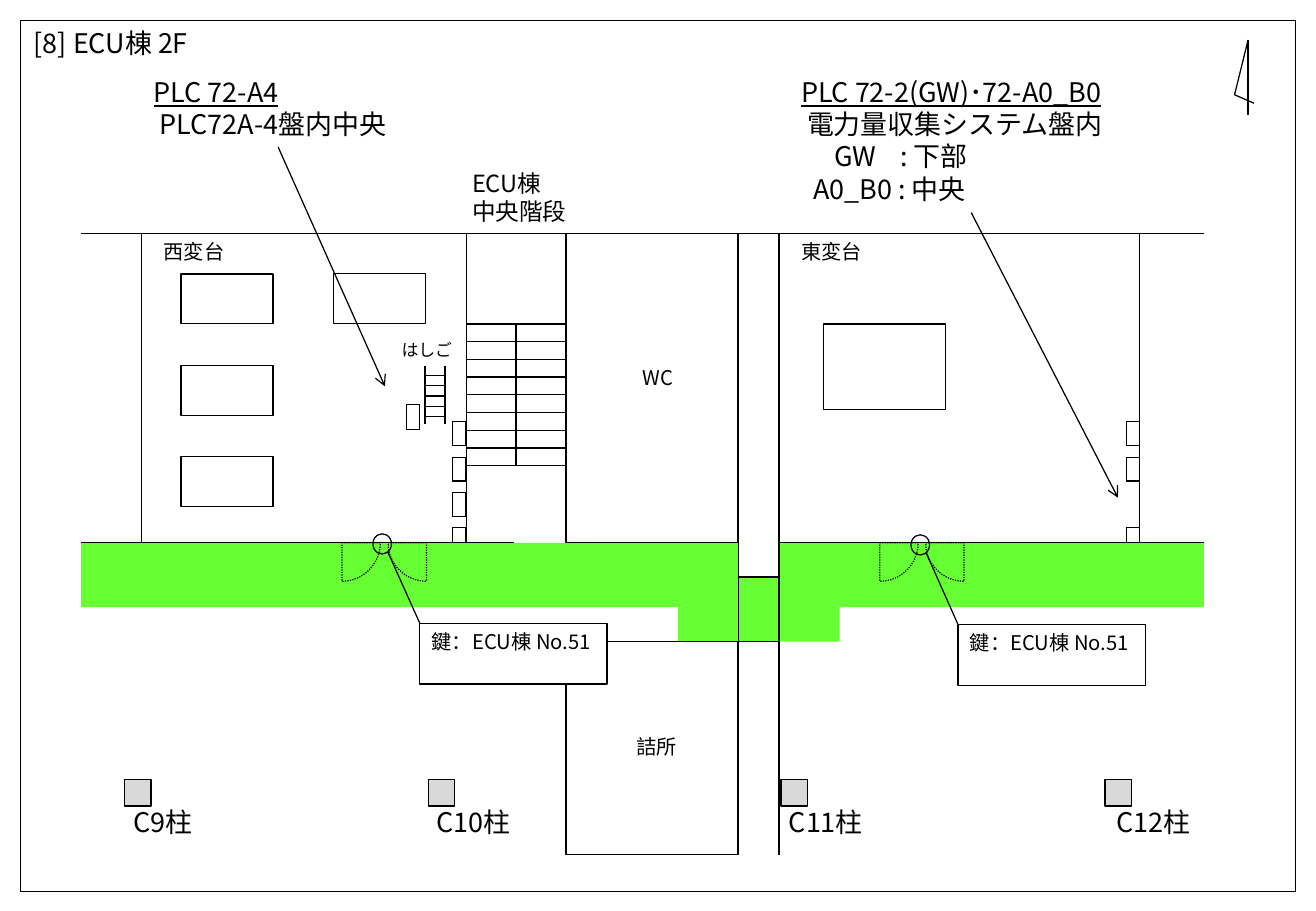
from math import cos, pi, sin

from pptx import Presentation
from pptx.dml.color import RGBColor
from pptx.enum.dml import MSO_LINE
from pptx.enum.shapes import MSO_CONNECTOR as CONN, MSO_SHAPE as SHAPE
from pptx.enum.text import MSO_ANCHOR as ANCHOR, PP_ALIGN as ALIGN
from pptx.oxml.ns import qn
from pptx.util import Pt
from lxml.etree import SubElement

FONT = "Noto Sans CJK JP"
BLACK, WHITE, GREEN, GREY = "000000", "FFFFFF", "66FF33", "D9D9D9"


def paint(s, fill=None, line=BLACK):
    """Set the fill, the outline and no shadow on a shape."""
    s.shadow.inherit = False
    for part, colour in ((s.fill, fill), (s.line.fill, line)):
        if colour:
            part.solid()
            part.fore_color.rgb = RGBColor.from_string(colour)
        else:
            part.background()
    if line:
        s.line.width = Pt(0.75)


def write(s, size, lines, align=ALIGN.LEFT):
    """Fill a shape with lines of (text, indent, underline, tab stops)."""
    tf = s.text_frame
    tf.word_wrap = True
    tf.vertical_anchor = ANCHOR.TOP
    for i, (text, indent, underline, tabs) in enumerate(lines):
        p = tf.add_paragraph() if i else tf.paragraphs[0]
        p.alignment = align
        p.line_spacing = Pt(size * 1.2)
        pPr = p._p.get_or_add_pPr()
        if indent:
            pPr.set("marL", str(Pt(indent)))
        if tabs:
            tab_list = SubElement(pPr, qn("a:tabLst"))
            for stop in tabs:
                SubElement(tab_list, qn("a:tab"), pos=str(Pt(stop)), algn="l")
        r = p.add_run()
        r.text = text
        look = {"name": FONT, "size": Pt(size), "underline": underline}
        for name, value in look.items():
            setattr(r.font, name, value)
        r.font.color.rgb = RGBColor.from_string(BLACK)
        SubElement(r._r.get_or_add_rPr(), qn("a:ea"), typeface=FONT)


prs = Presentation()
prs.slide_width, prs.slide_height = Pt(780.48), Pt(540)
shapes = prs.slides.add_slide(prs.slide_layouts[6]).shapes

# Main wall positions
LEFT, WEST, STAIR, WC, HALL, EAST, RIGHT = 48, 84, 276.5, 335.7, 437.8, 462, 714
NORTH, SOUTH, CORRIDOR, STATION, BOTTOM = 138.3, 321.8, 360, 380.3, 506.6
EAST_END = 676

# Green corridor
for x, y, w, h in [
    (EAST, SOUTH, RIGHT - EAST, CORRIDOR - SOUTH),
    (402, 342, 96, STATION - 342),
    (LEFT, SOUTH, 390, CORRIDOR - SOUTH),
]:
    s = shapes.add_shape(SHAPE.RECTANGLE, Pt(x), Pt(y), Pt(w), Pt(h))
    paint(s, GREEN, None)

# Frame, rooms and equipment
boxes = [
    (12.2, 12.2, 756, 516.2),
    (EAST, NORTH, EAST_END - EAST, SOUTH - NORTH),
    (WC, NORTH, HALL - WC, SOUTH - NORTH),
    (WEST, NORTH, STAIR - WEST, SOUTH - NORTH),
    (WC, STATION, HALL - WC, BOTTOM - STATION),
    (488.2, 192, 72.7, 50.6),
    (198, 162.3, 54.5, 29.5),
    (241, 240, 8, 14.5),
]
boxes += [(107.4, 162.4 + 54.2 * i, 54.5, 29.5) for i in range(3)]
panels = [(STAIR, 249.8), (STAIR, 271), (STAIR, 292), (STAIR, 312.5),
          (EAST_END, 249.8), (EAST_END, 271), (EAST_END, 312.5)]
boxes += [(wall - 8, y, 8, min(14.2, SOUTH - y)) for wall, y in panels]
for x, y, w, h in boxes:
    paint(shapes.add_shape(SHAPE.RECTANGLE, Pt(x), Pt(y), Pt(w), Pt(h)))

# Walls, stairs, ladder and north mark
lines = [
    (LEFT, NORTH, RIGHT, NORTH),
    (EAST, SOUTH, RIGHT, SOUTH),
    (LEFT, 321.4, 304.6, 321.4),
    (EAST, NORTH, EAST, BOTTOM),
    (HALL, NORTH, HALL, BOTTOM),
    (HALL, 342, EAST, 342),
    (HALL, STATION, EAST, STATION),
    (306, 192, 306, 276),
    (252, 216.8, 252, 251.3),
    (264, 216.8, 264, 251.3),
    (740.2, 23.8, 740.2, 68.4),
    (740.2, 23.8, 732.2, 56.2),
    (732.2, 56.2, 743.8, 61.2),
]
lines += [(STAIR, 192 + 10.5 * i, WC, 192 + 10.5 * i) for i in range(9)]
lines += [(252, 222.6 + 6.05 * i, 264, 222.6 + 6.05 * i) for i in range(5)]
arrows = [(576, 126, 663, 295), (165, 87.2, 228.3, 229)]
key_lines = [(229.7, 326.5, 249, 369.5), (549.2, 327.5, 568.2, 370.2)]
for ends in lines + arrows + key_lines:
    s = shapes.add_connector(CONN.STRAIGHT, *map(Pt, ends))
    s.line.width = Pt(0.75)
    s.line.color.rgb = RGBColor.from_string(BLACK)
    if ends in arrows:
        SubElement(s.line._get_or_add_ln(), qn("a:tailEnd"), type="arrow")
    SubElement(s._element.spPr, qn("a:effectLst"))

# Double doors: a quarter circle around each hinge
RADIUS, STEPS = 22.8, 16
for hinge, side in [(202.8, 1), (253, -1), (521.8, 1), (571.8, -1)]:
    arc = [(Pt(hinge + side * RADIUS * cos(a)), Pt(SOUTH + RADIUS * sin(a)))
           for a in (pi / 2 * i / STEPS for i in range(STEPS + 1))]
    door = shapes.build_freeform(Pt(hinge), Pt(SOUTH))
    door.add_line_segments(arc, close=True)
    s = door.convert_to_shape()
    paint(s)
    s.line.dash_style = MSO_LINE.ROUND_DOT

# Key notes and the circles they point at
for x, y, circle_x, circle_y in [(249, 369.5, 221.2, 316.4),
                                 (568.2, 370.2, 540.3, 317)]:
    s = shapes.add_shape(SHAPE.RECTANGLE, Pt(x), Pt(y), Pt(111), Pt(36))
    paint(s, WHITE)
    write(s, 12, [("鍵：ECU棟 No.51", 0, False, ())])
    paint(shapes.add_shape(SHAPE.OVAL, Pt(circle_x), Pt(circle_y), Pt(11), Pt(12)))

# Columns with labels
labels = []
for name, x, label_x in [("C9柱", 74, 72), ("C10柱", 254.2, 252),
                         ("C11柱", 463.2, 460.8), ("C12柱", 655.4, 655.2)]:
    s = shapes.add_shape(SHAPE.RECTANGLE, Pt(x), Pt(462.2), Pt(15.6), Pt(15.6))
    paint(s, GREY)
    labels.append((label_x, 473.8, 66, 26.6, 16, ALIGN.LEFT, [(name, 0, False, ())]))

# Title, room names and device notes
labels += [
    (13, 12.2, 143, 26.6, 16, ALIGN.LEFT, [("[8] ECU棟 2F", 0, False, ())]),
    (366.5, 213.1, 47.5, 21.6, 12, ALIGN.CENTER, [("WC", 0, False, ())]),
    (365.8, 432, 47.5, 21.6, 12, ALIGN.CENTER, [("詰所", 0, False, ())]),
    (230.4, 198, 45.4, 19.4, 10, ALIGN.CENTER, [("はしご", 0, False, ())]),
    (90, 138.2, 54, 21.6, 12, ALIGN.LEFT, [("西変台", 0, False, ())]),
    (468, 138.2, 54, 21.6, 12, ALIGN.LEFT, [("東変台", 0, False, ())]),
    (272.9, 96.5, 92.9, 41, 14, ALIGN.LEFT,
     [("ECU棟", 0, False, ()), ("中央階段", 0, False, ())]),
    (84.2, 41, 162, 64.8, 16, ALIGN.LEFT,
     [("PLC 72-A4", 0, True, ()), ("PLC72A-4盤内中央", 3.6, False, ())]),
    (468, 41, 216, 103.7, 16, ALIGN.LEFT,
     [("PLC 72-2(GW)･72-A0_B0", 0, True, ()),
      ("電力量収集システム盤内", 3.6, False, ()),
      ("\tGW\t: 下部", 0, False, (19.6, 59)),
      ("A0_B0 : 中央", 7.2, False, ())]),
]
for x, y, w, h, size, align, text in labels:
    write(shapes.add_textbox(Pt(x), Pt(y), Pt(w), Pt(h)), size, text, align)

prs.save("out.pptx")
